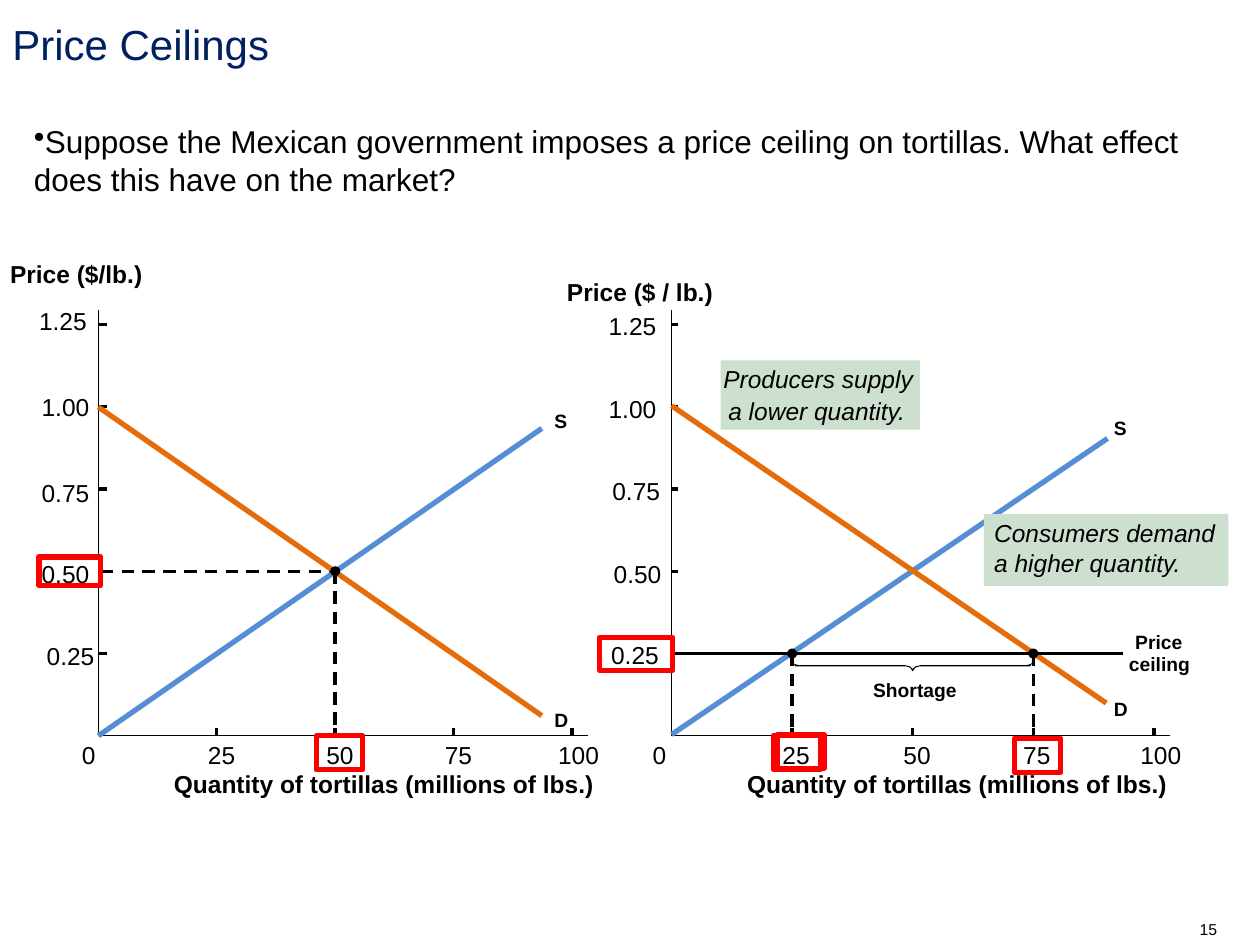
from dataclasses import dataclass

from lxml import etree
from pptx import Presentation
from pptx.dml.color import RGBColor
from pptx.enum.shapes import MSO_CONNECTOR, MSO_SHAPE
from pptx.enum.text import MSO_ANCHOR, MSO_AUTO_SIZE, PP_ALIGN
from pptx.oxml.ns import qn
from pptx.util import Inches, Pt

STRAIGHT = MSO_CONNECTOR.STRAIGHT
RECTANGLE, OVAL = MSO_SHAPE.RECTANGLE, MSO_SHAPE.OVAL
MIDDLE, TOP = MSO_ANCHOR.MIDDLE, MSO_ANCHOR.TOP
LEFT, RIGHT = PP_ALIGN.LEFT, PP_ALIGN.RIGHT


@dataclass(frozen=True)
class Theme:
    font: str = "Arial"
    black: str = "000000"
    title: str = "002060"
    demand: str = "E46C0A"
    supply: str = "558ED5"
    callout: str = "CDDFCF"
    highlight: str = "FF0000"
    title_size: float = 24
    body_size: float = 18
    axis_size: float = 14
    label_size: float = 11
    page_size: float = 9
    hairline: float = 0
    thick: float = 3


THEME = Theme()
BASE = 5.84
PRICE_STEP = 0.653
PRICES = ("0.25", "0.50", "0.75", "1.00", "1.25")
QUANTITIES = ("0", "25", "50", "75", "100")


def rgb(color):
    return RGBColor.from_string(color)


def style_paragraph(paragraph, size, color=THEME.black, bold=False, italic=False):
    font = paragraph.font
    font.name, font.size = THEME.font, Pt(size)
    font.bold, font.italic = bold, italic
    font.color.rgb = rgb(color)


def add_label(slide, text, left, top, width, size=THEME.axis_size, **style):
    """Add a one-line label without margins."""
    height = 0.24 if size == THEME.axis_size else 0.19
    box = slide.shapes.add_textbox(Inches(left), Inches(top), Inches(width), Inches(height))
    frame = box.text_frame
    frame.margin_left = frame.margin_right = frame.margin_top = frame.margin_bottom = 0
    frame.word_wrap = False
    frame.auto_size = MSO_AUTO_SIZE.SHAPE_TO_FIT_TEXT
    frame.text = text
    style_paragraph(frame.paragraphs[0], size, **style)


def add_text_block(slide, text, bounds, size, color=THEME.black, anchor=MIDDLE, align=LEFT):
    box = slide.shapes.add_textbox(*map(Inches, bounds))
    frame = box.text_frame
    frame.word_wrap = True
    frame.vertical_anchor = anchor
    frame.text = text
    paragraph = frame.paragraphs[0]
    paragraph.alignment = align
    style_paragraph(paragraph, size, color)
    return frame


def add_bullet(paragraph):
    properties = paragraph._p.get_or_add_pPr()
    properties.set("marL", "0")
    properties.set("indent", "0")
    etree.SubElement(properties, qn("a:buChar")).set("char", "•")


def add_line(slide, start, end, color=THEME.black, width=THEME.hairline):
    line = slide.shapes.add_connector(STRAIGHT, *map(Inches, (*start, *end)))
    line.line.color.rgb = rgb(color)
    line.line.width = Pt(width)
    etree.SubElement(line._element.spPr, qn("a:effectLst"))


def add_dashes(slide, start, end, dash=0.1, step=0.16):
    """Draw a horizontal or vertical guide as evenly spaced dashes."""
    (x1, y1), (x2, y2) = start, end
    length = x2 - x1 + y2 - y1
    along_x = x2 > x1
    offset = 0
    while offset < length:
        stop = min(offset + dash, length)
        if along_x:
            add_line(slide, (x1 + offset, y1), (x1 + stop, y1))
        else:
            add_line(slide, (x1, y1 + offset), (x1, y1 + stop))
        offset += step


def add_preset(slide, kind, bounds, fill=None, line=None):
    shape = slide.shapes.add_shape(kind, *map(Inches, bounds))
    shape.shadow.inherit = False
    if fill:
        shape.fill.solid()
        shape.fill.fore_color.rgb = rgb(fill)
    else:
        shape.fill.background()
    if line:
        shape.line.color.rgb = rgb(line)
        shape.line.width = Pt(THEME.thick)
    else:
        shape.line.fill.background()


def add_outline(slide, points, close):
    """Add a filled closed outline or an unfilled hairline path."""
    points = [(Inches(x), Inches(y)) for x, y in points]
    builder = slide.shapes.build_freeform(*points[0])
    builder.add_line_segments(points[1:], close=close)
    shape = builder.convert_to_shape()
    shape.shadow.inherit = False
    if close:
        shape.fill.solid()
        shape.fill.fore_color.rgb = rgb(THEME.black)
        shape.line.fill.background()
    else:
        shape.fill.background()
        shape.line.color.rgb = rgb(THEME.black)
        shape.line.width = Pt(THEME.hairline)


def add_dot(slide, x, y, radius=0.04):
    add_preset(slide, OVAL, (x - radius, y - radius, 2 * radius, 2 * radius), THEME.black)


def add_brace(slide, center):
    upper = [(-0.96, 5.23), (-0.95, 5.25), (-0.94, 5.27), (-0.9, 5.28), (-0.06, 5.28), (-0.02, 5.29), (0, 5.31)]
    lower = [(0, 5.33), (-0.02, 5.3), (-0.05, 5.29), (-0.9, 5.29), (-0.93, 5.29), (-0.96, 5.25)]
    right_upper = [(-x, y) for x, y in reversed(upper)]
    right_lower = [(-x, y) for x, y in reversed(lower)]
    outline = upper + right_upper + right_lower + lower
    add_outline(slide, [(center + x, y) for x, y in outline], close=True)


def add_axes(slide, origin, step, end, tick, price_places, quantity_lefts):
    add_outline(slide, [(end, BASE), (origin, BASE), (origin, 2.46)], close=False)
    for index, (price, (left, top)) in enumerate(zip(PRICES, price_places), start=1):
        y = BASE - index * PRICE_STEP
        add_line(slide, (origin, y), (origin + tick, y))
        add_label(slide, price, left, top, 0.38)
    for index, (quantity, left) in enumerate(zip(QUANTITIES, quantity_lefts)):
        if index:
            x = origin + index * step
            add_line(slide, (x, BASE - 0.06), (x, BASE))
        add_label(slide, quantity, left, 5.87, 0.11 * len(quantity))
    add_label(slide, "Quantity of tortillas (millions of lbs.)", origin + 0.6, 6.1, 3.34, bold=True)


def add_curve(slide, name, start, end, color, label_place):
    add_line(slide, start, end, color, THEME.thick)
    add_label(slide, name, *label_place, 0.11, THEME.label_size, bold=True)


def add_callout(slide, bounds, lines):
    add_preset(slide, RECTANGLE, bounds, THEME.callout)
    for text, left, top, width in lines:
        add_label(slide, text, left, top, width, italic=True)


def add_equilibrium_graph(slide):
    origin, step = 0.78, 0.94
    x, y = origin + 2 * step, BASE - 2 * PRICE_STEP
    add_axes(slide, origin, step, 4.67, 0.07,
             [(0.37, 5.09), (0.33, 4.44), (0.33, 3.79), (0.33, 3.11), (0.31, 2.43)],
             [0.65, 1.65, 2.59, 3.53, 4.43])
    add_label(slide, "Price ($/lb.)", 0.08, 2.06, 1.06, bold=True)
    add_dashes(slide, (x, y), (x, BASE))
    add_dashes(slide, (origin + 0.02, y), (x, y), step=0.165)
    add_curve(slide, "D", (origin, 3.23), (4.3, 5.68), THEME.demand, (4.4, 5.62))
    add_curve(slide, "S", (4.3, 3.4), (origin, BASE), THEME.supply, (4.4, 3.25))
    add_dot(slide, x, y)


def add_ceiling_graph(slide):
    origin, step = 5.33, 0.957
    ceiling = BASE - PRICE_STEP
    supplied, demanded = origin + step, origin + 3 * step
    add_axes(slide, origin, step, 9.29, 0.05,
             [(4.85, 5.08), (4.87, 4.44), (4.86, 3.78), (4.83, 3.13), (4.83, 2.47)],
             [5.18, 6.21, 7.17, 8.12, 9.05])
    add_label(slide, "Price ($ / lb.)", 4.5, 2.2, 1.16, bold=True)
    add_curve(slide, "S", (8.79, 3.48), (origin, 5.83), THEME.supply, (8.84, 3.3))
    add_curve(slide, "D", (8.78, 5.58), (origin, 3.22), THEME.demand, (8.84, 5.53))
    for quantity in (supplied, demanded):
        add_dashes(slide, (quantity, ceiling), (quantity, BASE))
        add_dot(slide, quantity, ceiling)
    add_callout(slide, (5.72, 2.86, 1.58, 0.55),
                [("Producers supply", 5.74, 2.89, 1.51), ("a lower quantity.", 5.78, 3.14, 1.41)])
    add_callout(slide, (7.81, 4.08, 1.94, 0.57),
                [("Consumers demand", 7.89, 4.11, 1.76), ("a higher quantity.", 7.89, 4.35, 1.49)])
    add_brace(slide, (supplied + demanded) / 2)
    add_line(slide, (origin, ceiling), (8.91, ceiling))
    for text, left, top, width in (("Shortage", 6.93, 5.38, 0.67), ("Price", 9.01, 5, 0.38),
                                   ("ceiling", 8.96, 5.18, 0.49)):
        add_label(slide, text, left, top, width, THEME.label_size, bold=True)


def main():
    presentation = Presentation()
    presentation.slide_width, presentation.slide_height = Inches(10), Inches(7.5)
    slide = presentation.slides.add_slide(presentation.slide_layouts[6])
    page = add_text_block(slide, "15", (9.17, 7.25, 0.83, 0.25), THEME.page_size, align=RIGHT)
    page.margin_right = Inches(0.34)
    add_text_block(slide, "Price Ceilings", (0, 0, 10, 0.7), THEME.title_size, THEME.title)
    body = add_text_block(slide, "Suppose the Mexican government imposes a price ceiling on tortillas. "
                          "What effect does this have on the market?",
                          (0.17, 0.92, 9.67, 6.17), THEME.body_size, anchor=TOP)
    body.paragraphs[0].space_before = Pt(4.5)
    # The bullet must precede the default run properties in the schema order.
    properties = body.paragraphs[0]._p.get_or_add_pPr()
    add_bullet(body.paragraphs[0])
    properties.append(properties.find(qn("a:defRPr")))
    add_equilibrium_graph(slide)
    add_ceiling_graph(slide)
    for bounds in ((2.51, 5.84, 0.37, 0.27), (0.31, 4.42, 0.49, 0.23), (6.14, 5.84, 0.37, 0.27),
                   (4.76, 5.06, 0.58, 0.26), (8.05, 5.86, 0.37, 0.27), (6.17, 5.83, 0.37, 0.27)):
        add_preset(slide, RECTANGLE, bounds, line=THEME.highlight)
    presentation.save("out.pptx")


if __name__ == "__main__":
    main()
